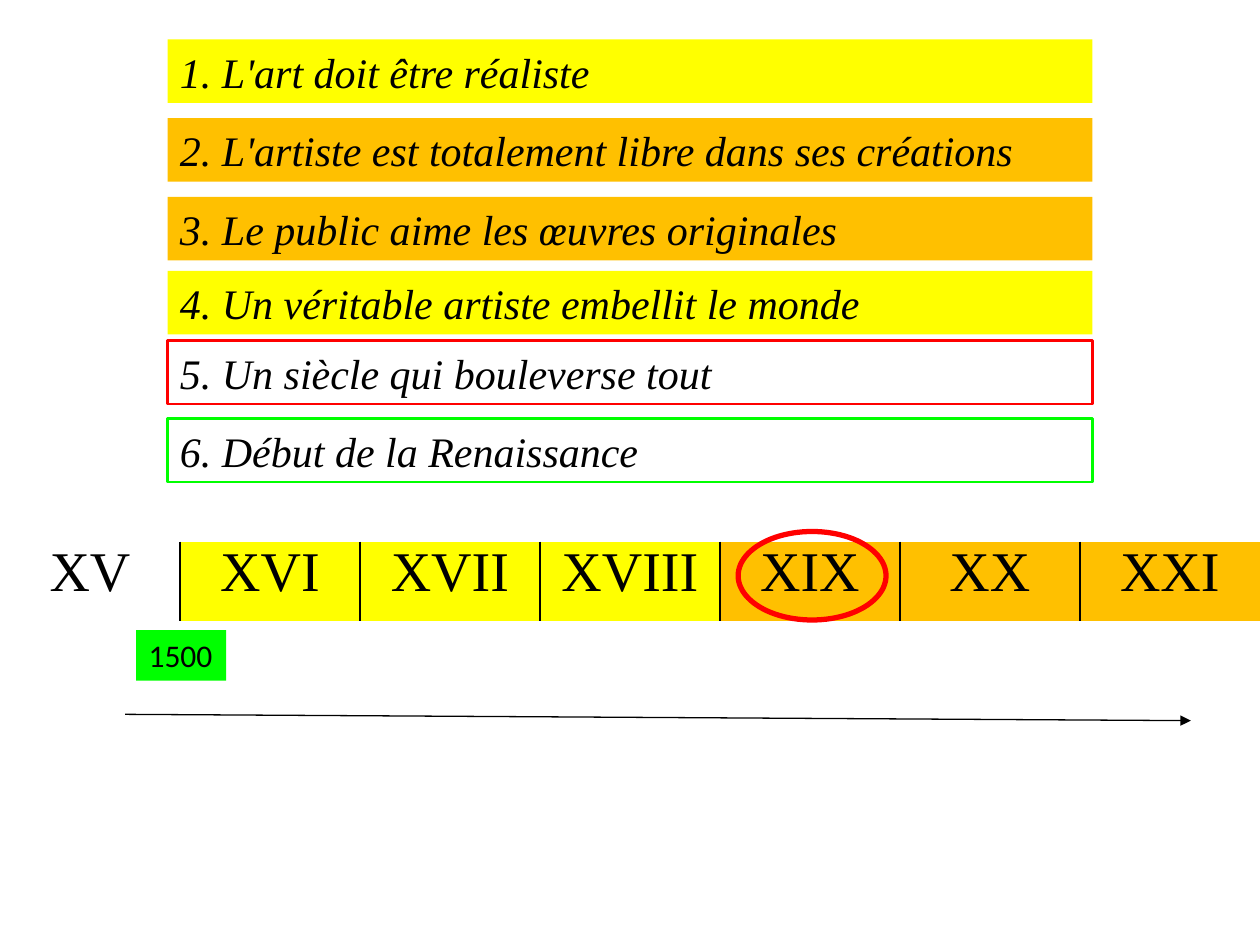
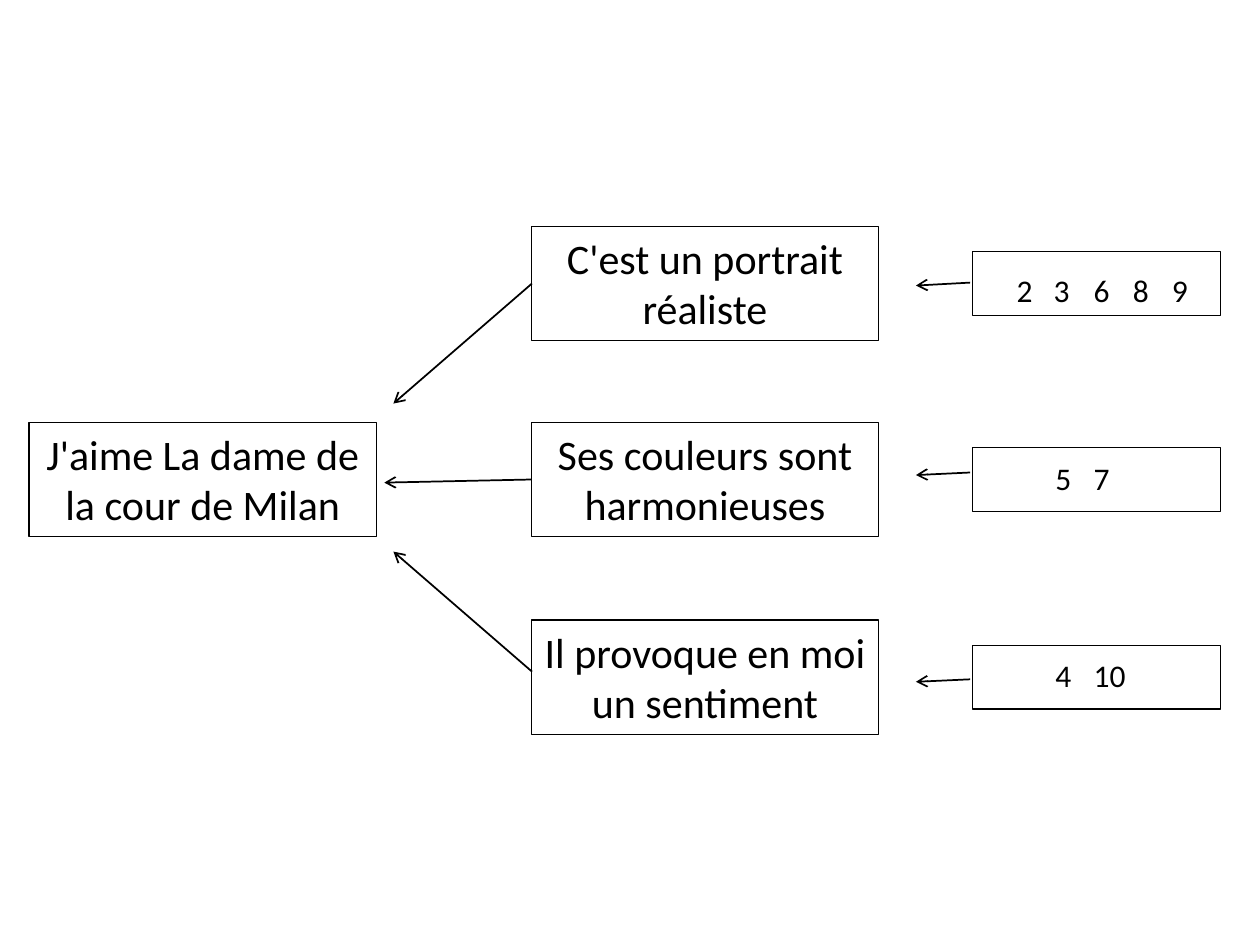
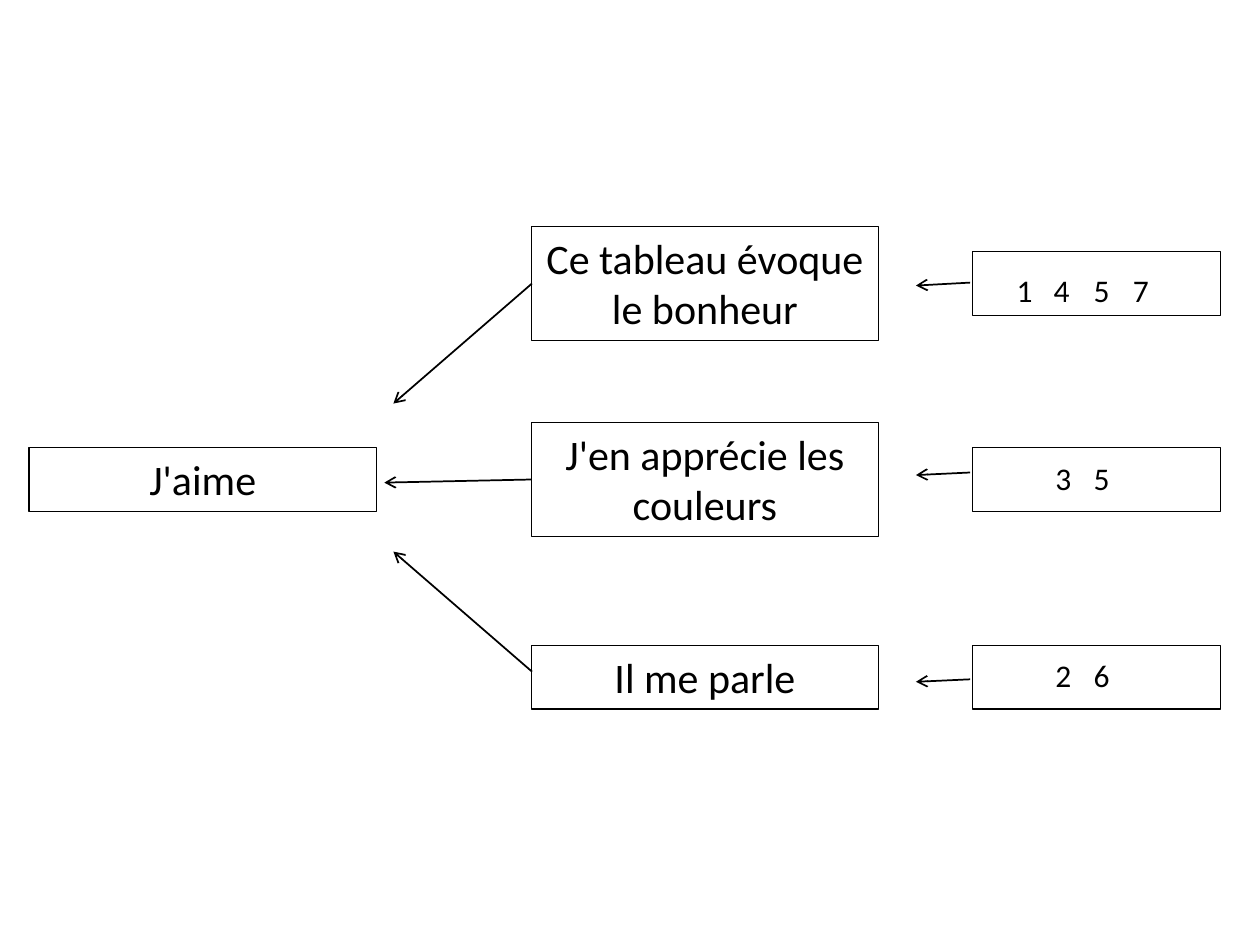
"""Build a three-slide French lesson: an art timeline and two argument maps."""
from lxml import etree
from pptx import Presentation
from pptx.dml.color import RGBColor
from pptx.enum import shapes, text
from pptx.oxml import ns
from pptx.util import Pt

BLACK = RGBColor(0, 0, 0)
YELLOW = RGBColor(0xFF, 0xFF, 0)
ORANGE = RGBColor(0xFF, 0xC0, 0)
RED = RGBColor(0xFF, 0, 0)
GREEN = RGBColor(0, 0xFF, 0)
SERIF, SANS = "Times New Roman", "Calibri"


def add_box(page, place, words="", size=24, fill=None, line=None, weight=0.75,
            kind=shapes.MSO_SHAPE.RECTANGLE, align=text.PP_ALIGN.CENTER, wrap=True):
    """Add a flat shape with black Calibri text and return it."""
    box = page.shapes.add_shape(kind, *map(Pt, place))
    box.shadow.inherit = False
    if fill is None:
        box.fill.background()
    else:
        box.fill.solid()
        box.fill.fore_color.rgb = fill
    if line is None:
        box.line.fill.background()
    else:
        box.line.color.rgb = line
        box.line.width = Pt(weight)
    if words:
        frame = box.text_frame
        frame.word_wrap = wrap
        frame.vertical_anchor = text.MSO_ANCHOR.TOP
        frame.auto_size = text.MSO_AUTO_SIZE.SHAPE_TO_FIT_TEXT
        para = frame.paragraphs[0]
        para.text = words
        para.alignment = align
        para.font.name, para.font.size = SANS, Pt(size)
        para.font.color.rgb = BLACK
    return box


def add_arrow(page, start, end, weight, head):
    """Draw a black arrow from start to end."""
    arrow = page.shapes.add_connector(
        shapes.MSO_CONNECTOR.STRAIGHT, *map(Pt, (*start, *end)))
    arrow.line.color.rgb = BLACK
    arrow.line.width = Pt(weight)
    tail = etree.SubElement(arrow.line._get_or_add_ln(), ns.qn("a:tailEnd"))
    tail.set("type", head)
    etree.SubElement(arrow._element.spPr, ns.qn("a:effectLst"))


deck = Presentation()
deck.slide_width, deck.slide_height = Pt(720), Pt(540)
blank = deck.slide_layouts[6]

page = deck.slides.add_slide(blank)
centuries = [("XV", None), ("XVI", YELLOW), ("XVII", YELLOW), ("XVIII", YELLOW),
             ("XIX", ORANGE), ("XX", ORANGE), ("XXI", ORANGE)]
timeline = page.shapes.add_table(
    1, len(centuries), Pt(0), Pt(309.5), Pt(720), Pt(45.36)).table
timeline.first_row = timeline.horz_banding = False
for index, (century, color) in enumerate(centuries):
    timeline.columns[index].width = Pt(720 / len(centuries))
    cell = timeline.cell(0, index)
    cell.margin_left = cell.margin_right = Pt(5)
    cell.margin_top = cell.margin_bottom = Pt(0)
    para = cell.text_frame.paragraphs[0]
    para.text = century
    para.alignment = text.PP_ALIGN.CENTER
    para.font.name, para.font.size = SERIF, Pt(32)
    para.font.color.rgb = BLACK
    ruled = {"lnL": index > 0, "lnR": index < len(centuries) - 1,
             "lnT": False, "lnB": False}
    for side, visible in ruled.items():
        border = etree.SubElement(cell._tc.get_or_add_tcPr(), ns.qn(f"a:{side}"))
        border.set("w", str(Pt(1)))
        if visible:
            ink = etree.SubElement(border, ns.qn("a:solidFill"))
            etree.SubElement(ink, ns.qn("a:srgbClr")).set("val", str(BLACK))
        else:
            etree.SubElement(border, ns.qn("a:noFill"))
    if color is None:
        cell.fill.background()
    else:
        cell.fill.solid()
        cell.fill.fore_color.rgb = color

statements = [
    (22.5, "1. L'art doit être réaliste", YELLOW, None),
    (67.5, "2. L'artiste est totalement libre dans ses créations", ORANGE, None),
    (112.5, "3. Le public aime les œuvres originales", ORANGE, None),
    (154.8, "4. Un véritable artiste embellit le monde", YELLOW, None),
    (194.5, "5. Un siècle qui bouleverse tout", None, RED),
    (239.2, "6. Début de la Renaissance", None, GREEN),
]
for top, words, fill, line in statements:
    box = add_box(page, (95.75, top, 528.5, 36.36), words, fill=fill, line=line,
                  weight=1.5, align=text.PP_ALIGN.JUSTIFY)
    box.text_frame.vertical_anchor = text.MSO_ANCHOR.MIDDLE
    para = box.text_frame.paragraphs[0]
    para.font.name, para.font.italic = SERIF, True
    indents = para._p.get_or_add_pPr()
    indents.set("marL", str(Pt(36)))
    indents.set("indent", str(-Pt(36)))

add_arrow(page, (71.5, 408.2), (680.5, 411.8), 0.75, "triangle")
add_box(page, (421.8, 303.7, 84.5, 50.6), line=RED, weight=3,
        kind=shapes.MSO_SHAPE.OVAL)
add_box(page, (77.8, 360, 51.4, 29), "1500", 18, fill=GREEN,
        align=text.PP_ALIGN.LEFT, wrap=False)

ONE_LINE, TWO_LINES = 36.36, 65.44
ROW_CENTERS = (162, 274, 387)
NUMBER_TOPS = (151.4, 258.5, 371.5)
NUMBER_LEFTS = ((573.8, 595, 617.8, 640.2, 662.6), (596, 617.8), (596, 617.8))
ARROWS = [
    ((304, 162), (224.8, 230.6)), ((304, 383.8), (224.8, 315.2)),
    ((304, 274), (219.6, 275.8)), ((554.4, 161.5), (523.4, 163.2)),
    ((554.4, 270), (523.4, 271.5)), ((554.4, 388.2), (523.4, 389.6)),
]
maps = [
    (("J'aime La dame de la cour de Milan", TWO_LINES), [
        ("C'est un portrait réaliste", TWO_LINES, ("2", "3", "6", "8", "9")),
        ("Ses couleurs sont harmonieuses", TWO_LINES, ("5", "7")),
        ("Il provoque en moi un sentiment", TWO_LINES, ("4", "10"))]),
    (("J'aime", ONE_LINE), [
        ("Ce tableau évoque le bonheur", TWO_LINES, ("1", "4", "5", "7")),
        ("J'en apprécie les couleurs", TWO_LINES, ("3", "5")),
        ("Il me parle", ONE_LINE, ("2", "6"))]),
]
for (opinion, opinion_height), reasons in maps:
    page = deck.slides.add_slide(blank)
    add_box(page, (16.6, ROW_CENTERS[1] - opinion_height / 2, 198.5, opinion_height),
            opinion, line=BLACK)
    rows = zip(reasons, ROW_CENTERS, NUMBER_TOPS, NUMBER_LEFTS)
    for (reason, height, numbers), center, number_top, number_lefts in rows:
        add_box(page, (303.6, center - height / 2, 198.5, height), reason, line=BLACK)
        add_box(page, (555.6, center - ONE_LINE / 2, 141.8, ONE_LINE), line=BLACK)
        for number, left in zip(numbers, number_lefts):
            label = page.shapes.add_textbox(
                Pt(left), Pt(number_top), Pt(14.4 + 9.2 * len(number)), Pt(29))
            label.text_frame.word_wrap = False
            label.text_frame.auto_size = text.MSO_AUTO_SIZE.SHAPE_TO_FIT_TEXT
            para = label.text_frame.paragraphs[0]
            para.text = number
            para.font.name, para.font.size = SANS, Pt(18)
            para.font.color.rgb = BLACK
    for start, end in ARROWS:
        add_arrow(page, start, end, 1, "arrow")

deck.save("out.pptx")
